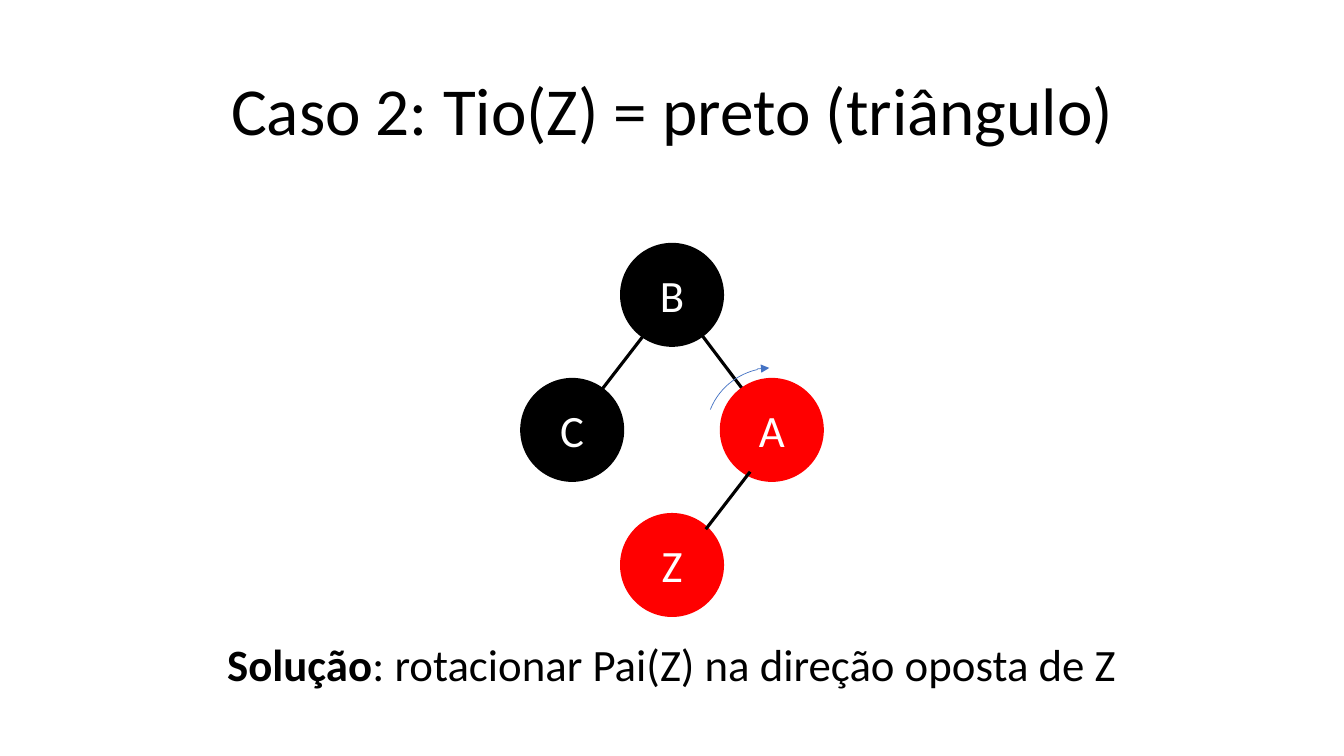
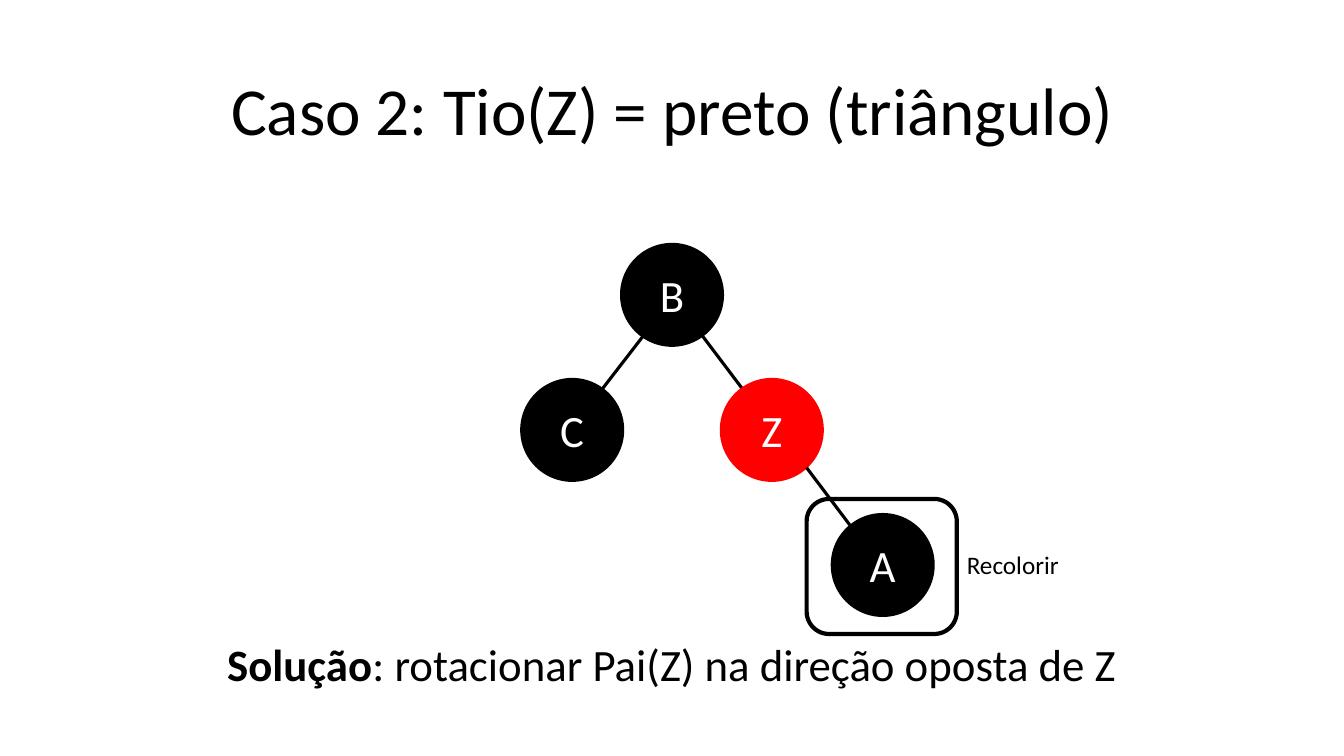
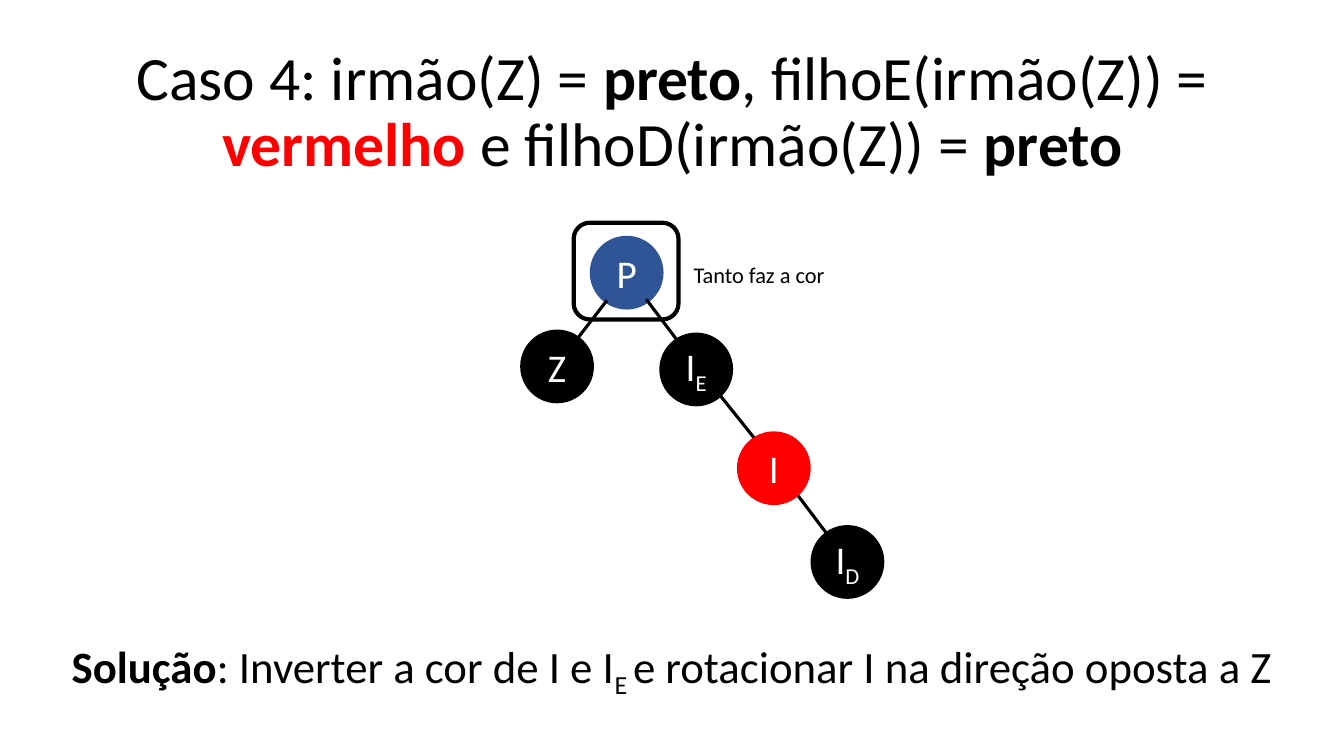
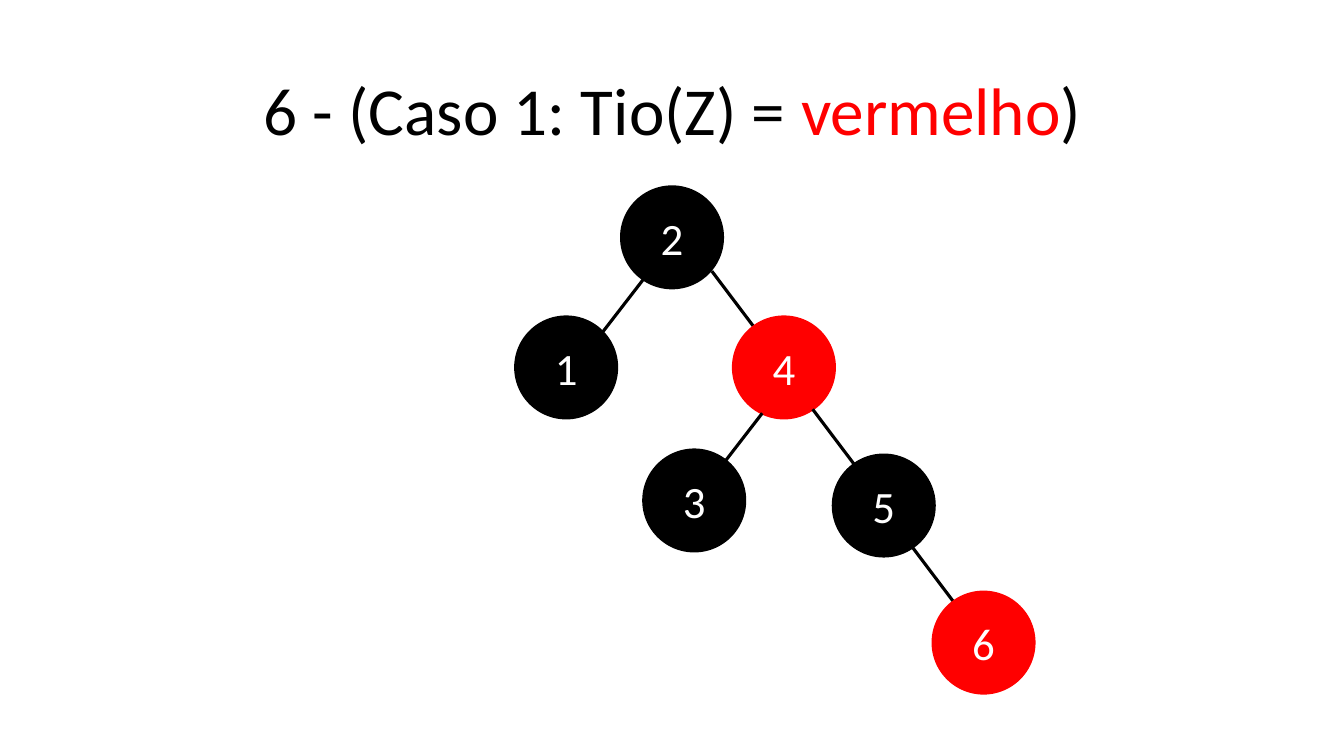
from lxml.etree import SubElement
from pptx import Presentation
from pptx.dml.color import RGBColor
from pptx.enum.shapes import MSO_CONNECTOR, MSO_SHAPE
from pptx.enum.text import MSO_ANCHOR, PP_ALIGN
from pptx.oxml.ns import qn
from pptx.util import Inches, Pt

BLACK = RGBColor(0x00, 0x00, 0x00)
WHITE = RGBColor(0xFF, 0xFF, 0xFF)
RED = RGBColor(0xFF, 0x00, 0x00)
NAVY = RGBColor(0x2F, 0x55, 0x97)
BLUE = RGBColor(0x44, 0x72, 0xC4)

FONT = "Calibri"
LEFT = (-0.44, 0.57)
RIGHT = (0.43, 0.57)
BOLD = {"bold": True}
RED_TEXT = {"color": RED}
SUB = {"baseline": -25000}


def write_text(tf, runs, size=32, color=BLACK, align=PP_ALIGN.CENTER,
               anchor=MSO_ANCHOR.MIDDLE, spacing=None):
    tf.word_wrap = True
    tf.vertical_anchor = anchor
    p = tf.paragraphs[0]
    p.alignment = align
    if spacing:
        p.line_spacing = spacing
    if isinstance(runs, str):
        runs = [(runs, {})]
    for text, style in runs:
        r = p.add_run()
        r.text = text
        r.font.name = FONT
        r.font.size = Pt(size)
        r.font.bold = style.get("bold", False)
        r.font.color.rgb = style.get("color", color)
        if "baseline" in style:
            r._r.get_or_add_rPr().set("baseline", str(style["baseline"]))


class Deck:
    def __init__(self):
        self.prs = Presentation()
        self.prs.slide_width = Inches(13.33)
        self.prs.slide_height = Inches(7.5)

    def new_slide(self, title, title_size=48, node_size=0.99, node_font=32):
        self.slide = self.prs.slides.add_slide(self.prs.slide_layouts[6])
        self.node_size = node_size
        self.node_font = node_font
        self.scale = node_size / 0.99
        self.text(title, 0.92, 0.4, 11.5, 1.45, size=title_size, spacing=0.9)

    def text(self, runs, x, y, w, h, **style):
        sp = self.slide.shapes.add_textbox(Inches(x), Inches(y), Inches(w), Inches(h))
        write_text(sp.text_frame, runs, **style)

    def solution(self, *runs):
        self.text([("Solução", BOLD), *runs], 0, 5.71, 13.33, 1.81, spacing=0.9)

    def note(self, text, x, y, w, h, size):
        self.text(text, x, y, w, h, size=size, align=PP_ALIGN.LEFT,
                  anchor=MSO_ANCHOR.TOP)

    def shape(self, kind, x, y, w, h, line, width=3, fill=None):
        sp = self.slide.shapes.add_shape(kind, Inches(x), Inches(y), Inches(w), Inches(h))
        sp.shadow.inherit = False
        sp.line.color.rgb = line
        sp.line.width = Pt(width)
        if fill is None:
            sp.fill.background()
        else:
            sp.fill.solid()
            sp.fill.fore_color.rgb = fill
        return sp

    def node(self, label, x, y, color=BLACK):
        sp = self.shape(MSO_SHAPE.OVAL, x, y, self.node_size, self.node_size,
                        color, fill=color)
        tf = sp.text_frame
        tf.margin_left = tf.margin_right = tf.margin_top = tf.margin_bottom = 0
        write_text(tf, label, size=self.node_font, color=WHITE)

    def frame(self, x, y, w, h):
        self.shape(MSO_SHAPE.FLOWCHART_ALTERNATE_PROCESS, x, y, w, h, BLACK)

    def line(self, x1, y1, x2, y2, color=BLACK, width=2.25, arrow=False):
        cx = self.slide.shapes.add_connector(
            MSO_CONNECTOR.STRAIGHT, Inches(x1), Inches(y1), Inches(x2), Inches(y2))
        cx.line.color.rgb = color
        cx.line.width = Pt(width)
        if arrow:
            SubElement(cx.line._get_or_add_ln(), qn("a:tailEnd"), type="triangle")
        SubElement(cx._element.spPr, qn("a:effectLst"))

    def edge(self, x, y, direction):
        dx, dy = direction
        self.line(x, y, x + dx * self.scale, y + dy * self.scale)

    def rotation_arrow(self):
        arc = self.shape(MSO_SHAPE.ARC, 7, 3.65, 1.32, 1.3, BLUE, width=0.5)
        for i, degrees in enumerate((201, 257)):
            arc.adjustments[i] = degrees * 0.6
        self.line(7.51, 3.66, 7.63, 3.65, color=BLUE, width=0.5, arrow=True)


def triangle_case(deck, right_child):
    deck.new_slide("Caso 2: Tio(Z) = preto (triângulo)")
    deck.node("B", 6.17, 2.43)
    deck.node("C", 5.18, 3.77)
    deck.edge(6.95, 3.31, RIGHT)
    deck.edge(6.39, 3.32, LEFT)
    deck.node(right_child, 7.16, 3.77, RED)
    deck.solution((": rotacionar Pai(Z) na direção oposta de Z", {}))


def triangle_before(deck):
    triangle_case(deck, "A")
    deck.node("Z", 6.17, 5.11, RED)
    deck.edge(7.44, 4.68, LEFT)
    deck.rotation_arrow()


def triangle_after(deck):
    triangle_case(deck, "Z")
    deck.node("A", 8.26, 5.11)
    deck.edge(8, 4.64, RIGHT)
    deck.frame(8, 4.95, 1.49, 1.34)
    deck.note("Recolorir", 9.49, 5.4, 3.38, 0.4, size=18)


def sibling_case(deck):
    deck.new_slide([
        ("Caso 4: irmão(Z) = ", {}), ("preto", BOLD),
        (", filhoE(irmão(Z)) = ", {}), ("vermelho ", {**BOLD, **RED_TEXT}),
        ("e filhoD(irmão(Z)) = ", {}), ("preto", BOLD),
    ], title_size=44, node_size=0.69, node_font=28)
    deck.solution((": Inverter a cor de I e I", {}), ("E ", SUB),
                  ("e rotacionar I na direção oposta a Z", {}))
    deck.node("P", 5.87, 2.36, NAVY)
    deck.node("Z", 5.18, 3.29)
    deck.edge(6.41, 2.97, RIGHT)
    deck.edge(6.02, 2.98, LEFT)
    deck.frame(5.69, 2.21, 1.04, 0.96)
    deck.note("Tanto faz a cor", 6.78, 2.54, 2.35, 0.37, size=16)
    deck.node([("I", {}), ("E", SUB)], 6.56, 3.32)
    deck.edge(7.91, 4.91, RIGHT)
    deck.node([("I", {}), ("D", SUB)], 8.06, 5.23)
    deck.line(7.14, 3.92, 7.5, 4.37)
    deck.node("I", 7.33, 4.3, RED)


def insertion_of_six(deck):
    deck.new_slide([("6 - (Caso 1: Tio(Z) = ", {}), ("vermelho", RED_TEXT), (")", {})])
    deck.node("1", 5.12, 3.15)
    deck.node("2", 6.17, 1.86)
    deck.edge(7.06, 2.69, RIGHT)
    deck.edge(6.39, 2.76, LEFT)
    deck.node("4", 7.28, 3.15, RED)
    deck.edge(8.06, 4.06, RIGHT)
    deck.node("5", 8.27, 4.52)
    deck.edge(7.56, 4.1, LEFT)
    deck.edge(9.05, 5.43, RIGHT)
    deck.node("6", 9.26, 5.88, RED)
    deck.node("3", 6.39, 4.47)


def main():
    deck = Deck()
    for build in (triangle_before, triangle_after, sibling_case, insertion_of_six):
        build(deck)
    deck.prs.save("out.pptx")


if __name__ == "__main__":
    main()
